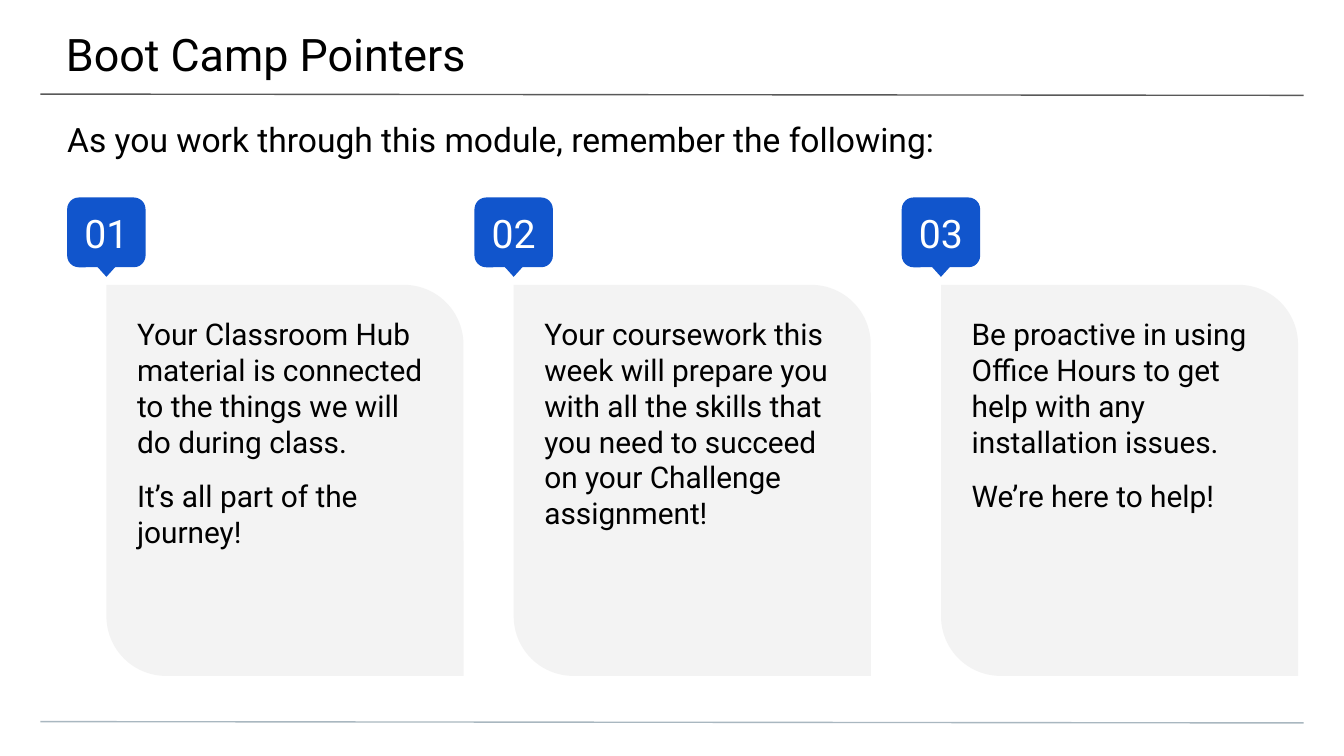
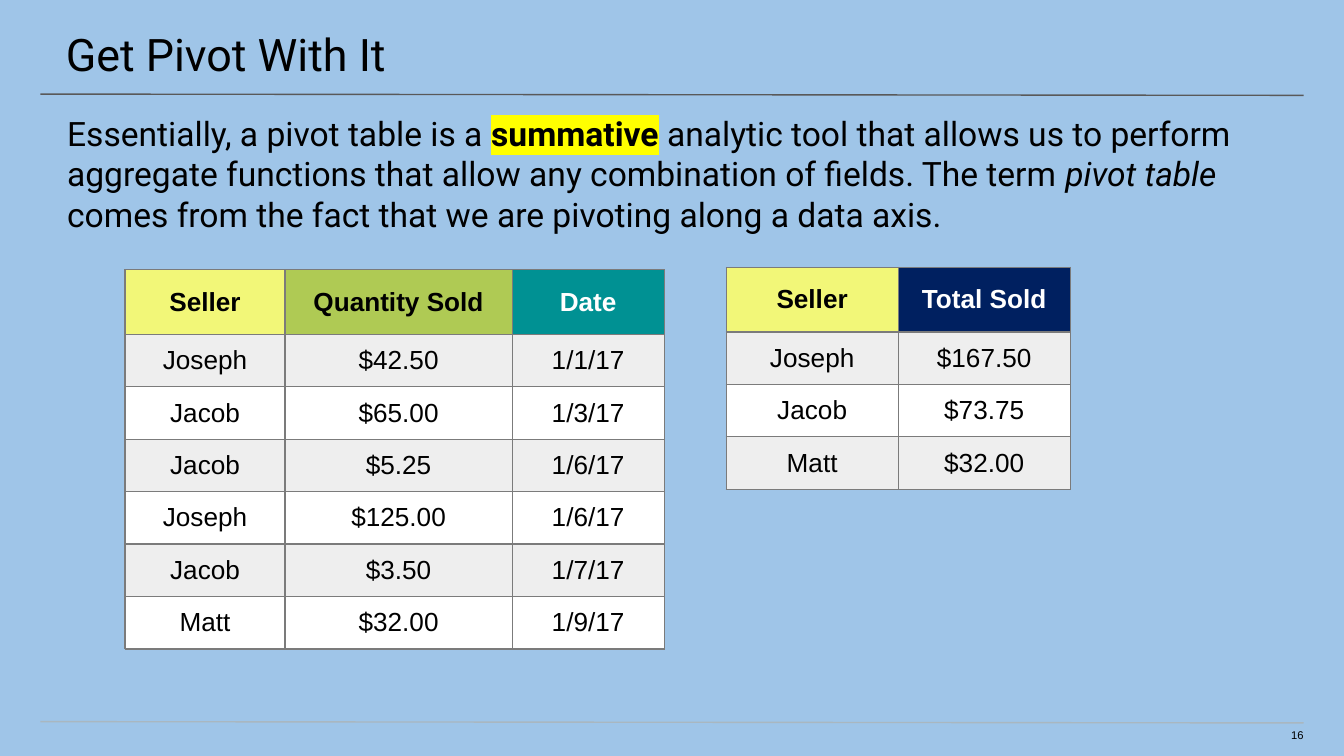
import pptx
import pptx.util
import pptx.dml.color
import pptx.enum.shapes
import pptx.enum.text
import pptx.oxml.ns
import lxml.etree

Pt = pptx.util.Pt
SHAPE = pptx.enum.shapes.MSO_SHAPE
ALIGN = pptx.enum.text.PP_ALIGN
ANCHOR = pptx.enum.text.MSO_ANCHOR

COLORS = {
    "white": "FFFFFF", "black": "000000", "sky": "9FC5E8",
    "title_rule": "595959", "footer_rule": "A9B7C0",
    "badge": "1155CC", "card": "F3F3F3", "marker": "FFFF00",
    "border": "7B7B7B", "stripe": "EEEEEE", "seller": "F2F778",
    "quantity": "AFCA54", "date": "009193", "total": "002060",
}
HEADING_FONT = "Roboto"
TABLE_FONT = "Arial"
INTRO_BOX = (0, 53.3, 720, 28.8)
INTRO_INSETS = (36, 7.2, 36, 0)
HEADER_HEIGHT, ROW_HEIGHT = 34.6, 28.1


def rgb(name):
    return pptx.dml.color.RGBColor.from_string(COLORS[name])


def sub(parent, tag, **attrs):
    return lxml.etree.SubElement(parent, pptx.oxml.ns.qn(tag), **attrs)


def style(p, size, color="black", font=HEADING_FONT, bold=None, align=ALIGN.LEFT):
    p.alignment = align
    p.font.size = Pt(size)
    p.font.name = font
    p.font.bold = bold
    p.font.color.rgb = rgb(color)


def set_frame(tf, insets, anchor=ANCHOR.TOP):
    tf.word_wrap = True
    tf.auto_size = pptx.enum.text.MSO_AUTO_SIZE.NONE
    tf.vertical_anchor = anchor
    tf.margin_left, tf.margin_top, tf.margin_right, tf.margin_bottom = map(Pt, insets)


def add_text(s, box, insets):
    tf = s.shapes.add_textbox(*map(Pt, box)).text_frame
    set_frame(tf, insets)
    return tf


def add_block(shapes, kind, box, color):
    sp = shapes.add_shape(kind, *map(Pt, box))
    sp.shadow.inherit = False
    sp.fill.solid()
    sp.fill.fore_color.rgb = rgb(color)
    sp.line.fill.background()
    return sp


def add_rule(s, y, color):
    line = s.shapes.add_connector(
        pptx.enum.shapes.MSO_CONNECTOR.STRAIGHT, Pt(21.6), Pt(y), Pt(698.4), Pt(y + 0.7))
    line.line.color.rgb = rgb(color)
    line.line.width = Pt(0.75)
    sub(line._element.spPr, "a:effectLst")


def add_slide(prs, title, background):
    s = prs.slides.add_slide(prs.slide_layouts[5])
    s.background.fill.solid()
    s.background.fill.fore_color.rgb = rgb(background)
    add_rule(s, 50.4, "title_rule")
    add_rule(s, 386.6, "footer_rule")
    sp = s.shapes.title
    sp.left, sp.top, sp.width, sp.height = map(Pt, (-0.7, 0, 722, 41.8))
    set_frame(sp.text_frame, (36, 14.4, 21.6, 7.2))
    sp.text_frame.text = title
    style(sp.text_frame.paragraphs[0], 24)
    return s


def add_badge(s, x, y, label):
    group = s.shapes.add_group_shape()
    sp = add_block(group.shapes, SHAPE.ROUNDED_RECTANGLE, (x, y, 42, 37.4), "badge")
    sp.adjustments[0] = 0.167
    set_frame(sp.text_frame, (7.2,) * 4, ANCHOR.MIDDLE)
    sp.text_frame.text = label
    style(sp.text_frame.paragraphs[0], 21, "white", align=ALIGN.CENTER)
    pointer = add_block(
        group.shapes, SHAPE.FLOWCHART_EXTRACT, (x + 10.6, y + 31, 20.8, 11.5), "badge")
    pointer.rotation = 180


def add_pointer_card(s, x, y, label, texts):
    card = add_block(
        s.shapes, SHAPE.ROUND_2_DIAG_RECTANGLE, (x + 21, y + 46.8, 191.3, 209.5), "card")
    card.adjustments[0] = 0
    card.adjustments[1] = 0.167
    tf = card.text_frame
    set_frame(tf, (7.2,) * 4)
    for i, text in enumerate(texts):
        p = tf.add_paragraph() if i else tf.paragraphs[0]
        p.text = text
        if i:
            p.space_before = Pt(10)
        if i == len(texts) - 1:
            p.space_after = Pt(10)
        style(p, 16)
    add_badge(s, x, y, label)


def style_cell(cell, text, fill, color="black", bold=False):
    cell.text = text
    cell.vertical_anchor = ANCHOR.MIDDLE
    cell.margin_left = cell.margin_right = Pt(5.4)
    cell.margin_top = cell.margin_bottom = Pt(2.7)
    style(cell.text_frame.paragraphs[0], 14, color, TABLE_FONT, bold, ALIGN.CENTER)
    tc_pr = cell._tc.get_or_add_tcPr()
    for side in ("a:lnL", "a:lnR", "a:lnT", "a:lnB"):
        ln = sub(tc_pr, side, w=str(Pt(0.75)))
        sub(sub(ln, "a:solidFill"), "a:srgbClr", val=COLORS["border"])
    cell.fill.solid()
    cell.fill.fore_color.rgb = rgb(fill)


def add_sales_table(s, x, y, widths, headers, rows):
    height = HEADER_HEIGHT + ROW_HEIGHT * len(rows)
    table = s.shapes.add_table(
        len(rows) + 1, len(widths), Pt(x), Pt(y), Pt(sum(widths)), Pt(height)).table
    for column, width in zip(table.columns, widths):
        column.width = Pt(width)
    for i, row in enumerate(table.rows):
        row.height = Pt(ROW_HEIGHT if i else HEADER_HEIGHT)
    for c, (text, fill, color) in enumerate(headers):
        style_cell(table.cell(0, c), text, fill, color, True)
    for i, values in enumerate(rows, 1):
        for c, text in enumerate(values):
            style_cell(table.cell(i, c), text, "stripe" if i % 2 else "white")


def add_page_number(s, number):
    tf = add_text(s, (677.5, 390.2, 20.9, 8.6), (0, 0, 0, 7.2))
    tf.text = number
    style(tf.paragraphs[0], 6, font=TABLE_FONT, align=ALIGN.RIGHT)


def build_pointers(prs):
    s = add_slide(prs, "Boot Camp Pointers", "white")
    tf = add_text(s, INTRO_BOX, INTRO_INSETS)
    tf.text = "As you work through this module, remember the following:"
    p = tf.paragraphs[0]
    p.line_spacing = 1.15
    p.space_after = Pt(5)
    style(p, 18)
    cards = [
        (36, ["Your Classroom Hub material is connected to the things we will do during class.",
              "It’s all part of the journey!"]),
        (254.2, ["Your coursework this week will prepare you with all the skills "
                 "that you need to succeed on your Challenge assignment!"]),
        (483.1, ["Be proactive in using Office Hours to get help with any installation issues.",
                 "We’re here to help!"]),
    ]
    for i, (x, texts) in enumerate(cards, 1):
        add_pointer_card(s, x, 105.8, f"{i:02}", texts)


def build_pivot(prs):
    s = add_slide(prs, "Get Pivot With It", "sky")
    add_page_number(s, "16")
    seller = ("Seller", "seller", "black")
    add_sales_table(
        s, 67, 144.5, (85.7, 121.7, 81.4),
        [seller, ("Quantity Sold", "quantity", "black"), ("Date", "date", "white")],
        [("Joseph", "$42.50", "1/1/17"),
         ("Jacob", "$65.00", "1/3/17"),
         ("Jacob", "$5.25", "1/6/17"),
         ("Joseph", "$125.00", "1/6/17"),
         ("Jacob", "$3.50", "1/7/17"),
         ("Matt", "$32.00", "1/9/17")])
    add_sales_table(
        s, 389, 143.3, (92.2, 92.2),
        [seller, ("Total Sold", "total", "white")],
        [("Joseph", "$167.50"), ("Jacob", "$73.75"), ("Matt", "$32.00")])
    p = add_text(s, INTRO_BOX, INTRO_INSETS).paragraphs[0]
    style(p, 18)
    p.add_run().text = "Essentially, a pivot table is a "
    r = p.add_run()
    r.text = "summative"
    r.font.bold = True
    sub(sub(r._r.get_or_add_rPr(), "a:highlight"), "a:srgbClr", val=COLORS["marker"])
    p.add_run().text = (" analytic tool that allows us to perform aggregate functions "
                        "that allow any combination of fields. The term ")
    r = p.add_run()
    r.text = "pivot table"
    r.font.italic = True
    p.add_run().text = " comes from the fact that we are pivoting along a data axis."


def main():
    prs = pptx.Presentation()
    prs.slide_width, prs.slide_height = Pt(720), Pt(405)
    build_pointers(prs)
    build_pivot(prs)
    prs.save("out.pptx")


if __name__ == "__main__":
    main()
